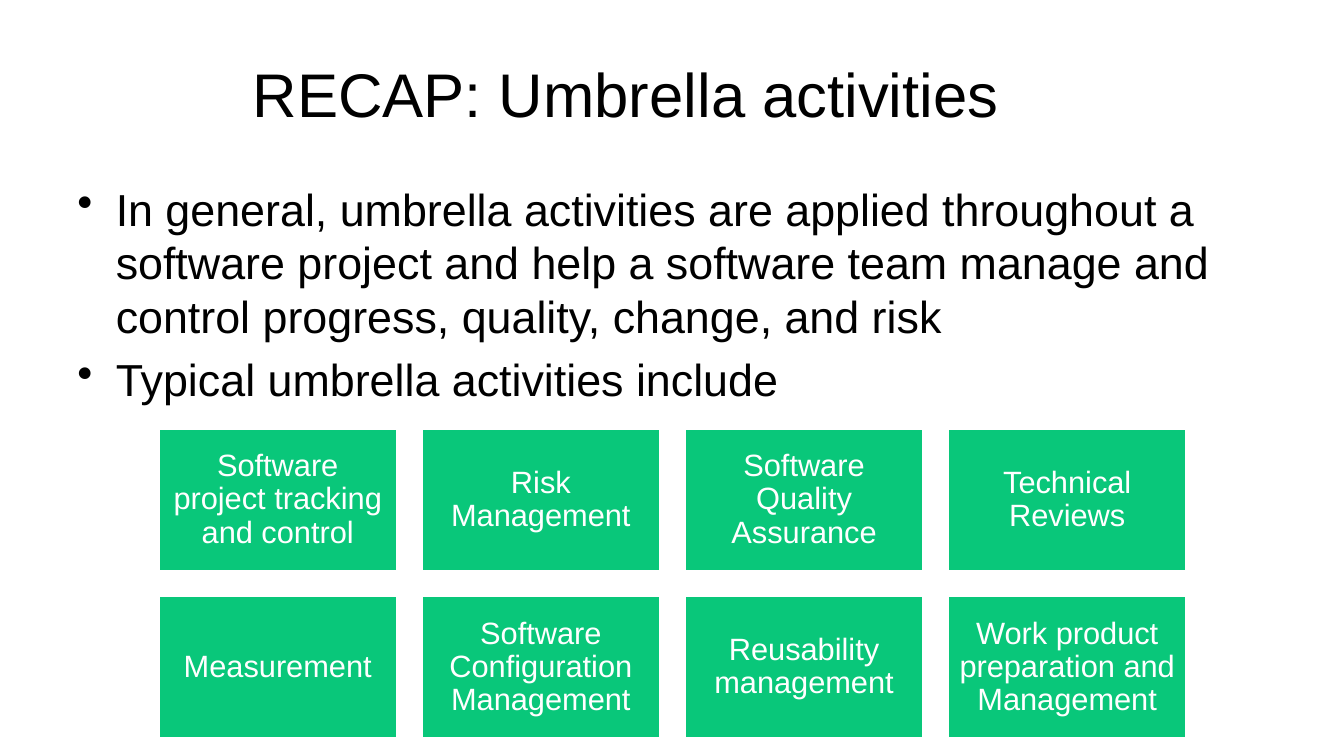
import dataclasses

import lxml.etree
import pptx
import pptx.dml.color
import pptx.enum.shapes
import pptx.enum.text
import pptx.oxml.ns
import pptx.util

PX = 9144
FONT = "Arial"
BLACK = "000000"
WHITE = "FFFFFF"
GREEN = "09C77A"
COLUMNS = 4


@dataclasses.dataclass(frozen=True)
class Frame:
    left: int
    top: int
    width: int
    height: int

    def emu(self) -> tuple[int, int, int, int]:
        return self.left * PX, self.top * PX, self.width * PX, self.height * PX


@dataclasses.dataclass(frozen=True)
class Activity:
    label: str
    frame: Frame


TITLE_FRAME = Frame(67, 30, 1108, 125)
BODY_FRAME = Frame(67, 175, 1200, 495)
FIRST_TILE = Frame(157, 425, 237, 142)
TILE_GAP = 24

POINTS = [
    "In general, umbrella activities are applied throughout a software project "
    "and help a software team manage and control progress, quality, change, and risk",
    "Typical umbrella activities include",
]
LABELS = [
    "Software project tracking and control",
    "Risk Management",
    "Software Quality Assurance",
    "Technical Reviews",
    "Measurement",
    "Software Configuration Management",
    "Reusability management",
    "Work product preparation and Management",
]


def color(value: str) -> pptx.dml.color.RGBColor:
    return pptx.dml.color.RGBColor.from_string(value)


def format_runs(para, size: int, value: str) -> None:
    for span in para.runs:
        span.font.name = FONT
        span.font.size = pptx.util.Pt(size)
        span.font.color.rgb = color(value)


def add_bullet(para) -> None:
    properties = para._p.get_or_add_pPr()
    properties.set("marL", str(38 * PX))
    properties.set("indent", str(-38 * PX))
    bullet = lxml.etree.SubElement(properties, pptx.oxml.ns.qn("a:buChar"))
    bullet.set("char", "•")


def place_title(page, text: str) -> None:
    title = page.shapes.title
    title.left, title.top, title.width, title.height = TITLE_FRAME.emu()
    title.text_frame.text = text
    title.text_frame.vertical_anchor = pptx.enum.text.MSO_ANCHOR.MIDDLE
    para = title.text_frame.paragraphs[0]
    para.alignment = pptx.enum.text.PP_ALIGN.CENTER
    format_runs(para, 44, BLACK)


def draw_points(page, points: list[str]) -> None:
    box = page.shapes.add_textbox(*BODY_FRAME.emu())
    box.text_frame.word_wrap = True
    box.text_frame.text = "\n".join(points)
    for index, para in enumerate(box.text_frame.paragraphs):
        add_bullet(para)
        if index:
            para.space_before = pptx.util.Pt(6.4)
        format_runs(para, 32, BLACK)


def layout_activities(labels: list[str]) -> list[Activity]:
    activities = []
    for index, label in enumerate(labels):
        row, column = divmod(index, COLUMNS)
        left = FIRST_TILE.left + column * (FIRST_TILE.width + TILE_GAP)
        top = FIRST_TILE.top + row * (FIRST_TILE.height + TILE_GAP)
        frame = Frame(left, top, FIRST_TILE.width, FIRST_TILE.height)
        activities.append(Activity(label, frame))
    return activities


def draw_activity(page, activity: Activity) -> None:
    tile = page.shapes.add_shape(
        pptx.enum.shapes.MSO_SHAPE.RECTANGLE, *activity.frame.emu()
    )
    tile.shadow.inherit = False
    tile.fill.solid()
    tile.fill.fore_color.rgb = color(GREEN)
    tile.line.color.rgb = color(WHITE)
    tile.line.width = pptx.util.Pt(2)
    text_frame = tile.text_frame
    text_frame.word_wrap = True
    text_frame.vertical_anchor = pptx.enum.text.MSO_ANCHOR.MIDDLE
    text_frame.margin_left = text_frame.margin_right = 9 * PX
    text_frame.margin_top = text_frame.margin_bottom = 9 * PX
    text_frame.text = activity.label
    para = text_frame.paragraphs[0]
    para.alignment = pptx.enum.text.PP_ALIGN.CENTER
    para.line_spacing = 0.9
    format_runs(para, 22, WHITE)


def main() -> None:
    deck = pptx.Presentation()
    deck.slide_width = 1333 * PX
    deck.slide_height = 750 * PX
    page = deck.slides.add_slide(deck.slide_layouts.get_by_name("Title Only"))
    page.background.fill.solid()
    page.background.fill.fore_color.rgb = color(WHITE)
    place_title(page, "RECAP: Umbrella activities")
    draw_points(page, POINTS)
    for activity in layout_activities(LABELS):
        draw_activity(page, activity)
    deck.save("out.pptx")


if __name__ == "__main__":
    main()
